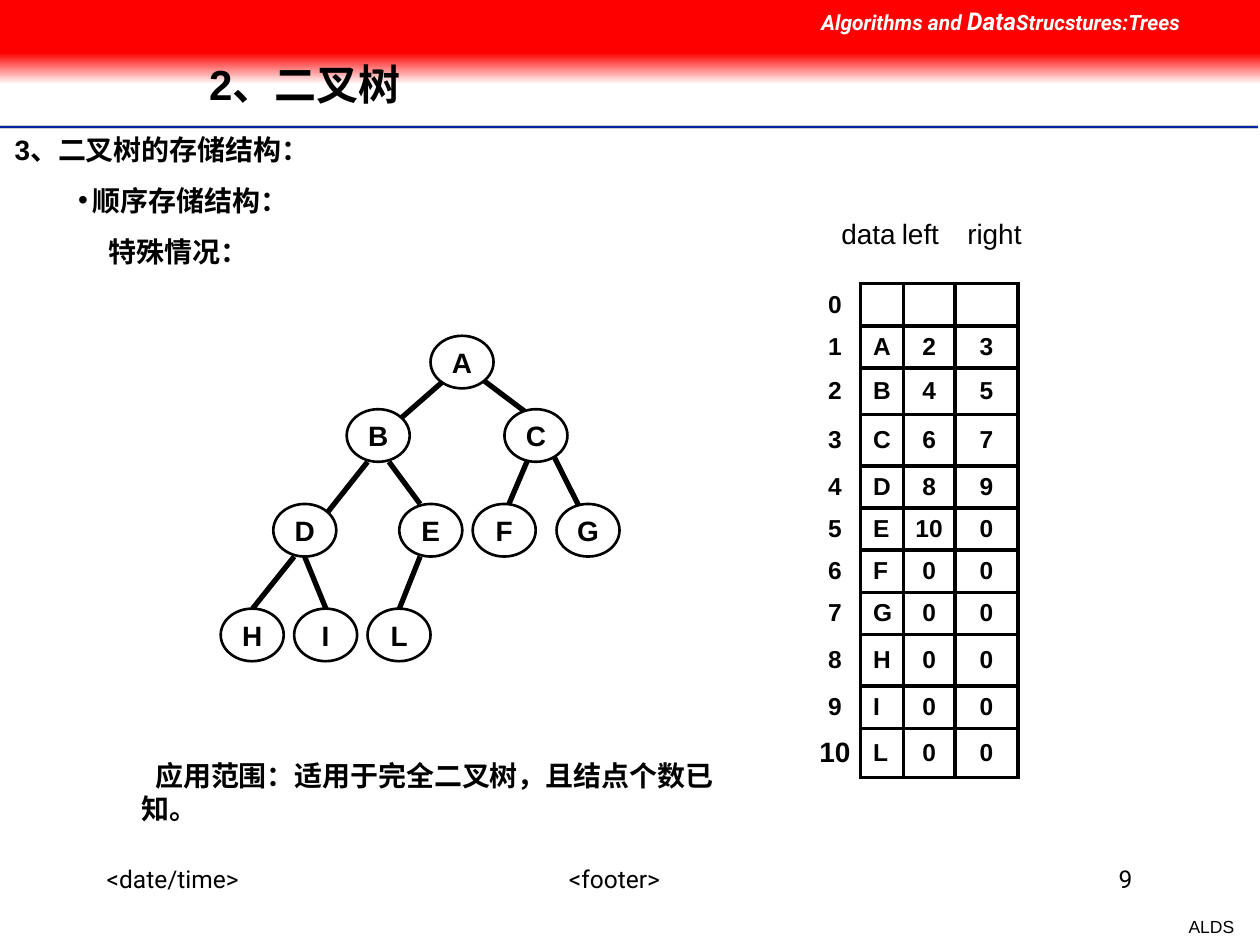
from lxml.etree import SubElement
from pptx import Presentation
from pptx.dml.color import RGBColor
from pptx.enum.shapes import MSO_CONNECTOR, MSO_SHAPE
from pptx.enum.text import MSO_ANCHOR, MSO_AUTO_SIZE, PP_ALIGN
from pptx.oxml import parse_xml
from pptx.oxml.ns import nsdecls, qn
from pptx.util import Cm, Pt

BLACK = RGBColor(0x00, 0x00, 0x00)
WHITE = RGBColor(0xFF, 0xFF, 0xFF)
NEAR_WHITE = RGBColor(0xFE, 0xFE, 0xFE)
RED = RGBColor(0xFF, 0x00, 0x00)
BLUE = RGBColor(0x00, 0x27, 0x9F)
GREY = RGBColor(0xCE, 0xCE, 0xCE)

NODE_WIDTH, NODE_HEIGHT = 1.27, 1.06
NODES = {
    "A": (4.23, 0), "B": (2.54, 1.48), "C": (5.72, 1.48),
    "D": (1.06, 3.39), "E": (3.6, 3.39), "F": (5.08, 3.39), "G": (6.77, 3.39),
    "H": (0, 5.5), "I": (1.48, 5.5), "L": (2.96, 5.5),
}
BRANCHES = [
    (5.29, 0.21, 3.6, 1.69), (4.66, 0.42, 6.35, 1.69),
    (2.96, 2.54, 2.12, 3.6), (3.39, 2.54, 4.02, 3.39),
    (6.35, 2.12, 5.72, 3.6), (6.56, 2.12, 7.41, 3.81),
    (1.48, 4.45, 0.64, 5.5), (1.69, 4.45, 2.12, 5.5),
    (4.02, 4.45, 3.6, 5.5),
]

STORAGE = [
    ("", "", ""), ("A", 2, 3), ("B", 4, 5), ("C", 6, 7), ("D", 8, 9),
    ("E", 10, 0), ("F", 0, 0), ("G", 0, 0), ("H", 0, 0), ("I", 0, 0), ("L", 0, 0),
]
COLUMN_WIDTHS = [1.04, 0.86, 1.04, 1.27]
ROW_HEIGHTS = [0.85, 0.85, 0.93, 1.04, 0.85, 0.85, 0.85, 0.85, 1.04, 0.85, 0.99]
HEADINGS = {"data": 0.4, "left": 1.62, "right": 2.94}


def style(paragraph, size, bold=False, color=BLACK, name="Arial", align=PP_ALIGN.LEFT):
    paragraph.alignment = align
    font = paragraph.font
    font.size, font.bold, font.name = Pt(size), bold, name
    font.color.rgb = color


def add_line(slide, start_x, start_y, end_x, end_y, color, width):
    line = slide.shapes.add_connector(
        MSO_CONNECTOR.STRAIGHT, Cm(start_x), Cm(start_y), Cm(end_x), Cm(end_y))
    line.line.color.rgb = color
    line.line.width = Pt(width)
    SubElement(line._element.spPr, qn("a:effectLst"))


def add_label(slide, text, left, top, width, height, size, wrap=True, **look):
    frame = slide.shapes.add_textbox(Cm(left), Cm(top), Cm(width), Cm(height)).text_frame
    frame.word_wrap = wrap
    paragraph = frame.paragraphs[0]
    paragraph.text = text
    style(paragraph, size, **look)
    return paragraph


def set_indent(paragraph, left, first_line):
    properties = paragraph._p.get_or_add_pPr()
    properties.set("marL", str(Cm(left)))
    properties.set("indent", str(Cm(first_line)))


def set_bullet(paragraph, bullet):
    properties = paragraph._p.get_or_add_pPr()
    if bullet:
        SubElement(properties, qn("a:buChar"), char=bullet)
    else:
        SubElement(properties, qn("a:buNone"))


def add_band(slide, left, top, width, height):
    band = slide.shapes.add_shape(
        MSO_SHAPE.RECTANGLE, Cm(left), Cm(top), Cm(width), Cm(height))
    band.shadow.inherit = False
    band.line.fill.background()
    return band.fill


def add_header(slide, left, top, width):
    fade = add_band(slide, left, top + 1.06, width, 0.64)
    fade.gradient()
    fade.gradient_angle = 270
    for stop, color in zip(fade.gradient_stops, (RED, NEAR_WHITE)):
        stop.color.rgb = color
    solid = add_band(slide, left, top, width, 1.09)
    solid.solid()
    solid.fore_color.rgb = RED

    course = add_label(slide, "Algorithms and ", left + 16.31, top, 9.09, 0.86, 12,
                       bold=True, color=WHITE, name="Roboto")
    course.font.italic = True
    emphasis = course.add_run()
    emphasis.text = "Data"
    emphasis.font.size = Pt(14)
    course.add_run().text = "Strucstures:Trees"

    for offset, color, thickness in ((2.56, GREY, 2), (2.56, BLUE, 1), (2.62, WHITE, 1)):
        add_line(slide, left, top + offset, left + width - 0.05, top + offset,
                 color, thickness)


def place_in_front(slide, placeholder, left, top, width, height):
    slide.shapes._spTree.append(placeholder._element)
    placeholder.left, placeholder.top = Cm(left), Cm(top)
    placeholder.width, placeholder.height = Cm(width), Cm(height)


def fill_title(slide, left, top, width, height):
    title = slide.shapes.title
    place_in_front(slide, title, left, top, width, height)
    title.text_frame.text = "2、二叉树"
    title.text_frame.vertical_anchor = MSO_ANCHOR.MIDDLE
    paragraph = title.text_frame.paragraphs[0]
    paragraph.line_spacing = 0.9
    style(paragraph, 24, bold=True)


def fill_outline(slide, left, top, width, height):
    body = slide.placeholders[1]
    place_in_front(slide, body, left, top, width, height)
    frame = body.text_frame
    frame.auto_size = MSO_AUTO_SIZE.NONE
    frame.vertical_anchor = MSO_ANCHOR.TOP
    frame.text = "3、二叉树的存储结构：\n顺序存储结构：\n特殊情况："
    indents = [(0, 0, None), (1.58, -0.3, "•"), (1.9, 0, None)]
    for level, (paragraph, indent) in enumerate(zip(frame.paragraphs, indents)):
        margin, first_line, bullet = indent
        paragraph.level = level
        paragraph.space_before = Pt(10 if level else 0)
        set_indent(paragraph, margin, first_line)
        set_bullet(paragraph, bullet)
        style(paragraph, 16, bold=True)


def add_tree(slide, left, top):
    for start_x, start_y, end_x, end_y in BRANCHES:
        add_line(slide, left + start_x, top + start_y, left + end_x, top + end_y, BLACK, 3)
    for letter, (x, y) in NODES.items():
        node = slide.shapes.add_shape(
            MSO_SHAPE.OVAL, Cm(left + x), Cm(top + y), Cm(NODE_WIDTH), Cm(NODE_HEIGHT))
        node.shadow.inherit = False
        node.fill.solid()
        node.fill.fore_color.rgb = WHITE
        node.line.color.rgb = BLACK
        node.line.width = Pt(1.5)
        node.text_frame.word_wrap = False
        node.text_frame.vertical_anchor = MSO_ANCHOR.MIDDLE
        node.text_frame.text = letter
        style(node.text_frame.paragraphs[0], 16, bold=True, align=PP_ALIGN.CENTER)


def set_borders(cell, visible_sides):
    for position, side in enumerate("LRTB"):
        paint = (f'<a:solidFill><a:srgbClr val="{BLACK}"/></a:solidFill>'
                 if side in visible_sides else "<a:noFill/>")
        border = parse_xml(f'<a:ln{side} {nsdecls("a")} w="{Pt(2.25)}">{paint}</a:ln{side}>')
        cell._tc.get_or_add_tcPr().insert(position, border)


def add_storage_table(slide, left, top):
    """Column headings over an array whose row numbers stand outside the ruled part."""
    for heading, offset in HEADINGS.items():
        add_label(slide, heading, left + offset, top - 1.48, 2.33, 0.94, 16)

    table = slide.shapes.add_table(
        len(ROW_HEIGHTS), len(COLUMN_WIDTHS), Cm(left), Cm(top),
        Cm(sum(COLUMN_WIDTHS)), Cm(sum(ROW_HEIGHTS))).table
    table.first_row = table.horz_banding = False
    for column, width in zip(table.columns, COLUMN_WIDTHS):
        column.width = Cm(width)
    for number, (height, record) in enumerate(zip(ROW_HEIGHTS, STORAGE)):
        table.rows[number].height = Cm(height)
        for place, value in enumerate((number, *record)):
            cell = table.cell(number, place)
            cell.fill.background()
            set_borders(cell, "LRTB" if place else "R")
            cell.margin_top = cell.margin_bottom = cell.margin_right = 0
            cell.margin_left = Cm(0.25 if place == 1 else 0)
            cell.vertical_anchor = MSO_ANCHOR.MIDDLE
            cell.text = str(value)
            style(cell.text_frame.paragraphs[0], 16 if (number, place) == (10, 0) else 14,
                  bold=True, align=PP_ALIGN.LEFT if place == 1 else PP_ALIGN.CENTER)


def add_footer(slide, left, top):
    for text, offset, width, align in (
            ("<date/time>", 0, 4.88, PP_ALIGN.LEFT),
            ("<footer>", 6.78, 7.42, PP_ALIGN.CENTER),
            ("9", 16.3, 4.88, PP_ALIGN.RIGHT)):
        add_label(slide, text, left + offset, top, width, 1.27, 14,
                  name="Roboto", align=align)
    add_label(slide, "ALDS", left + 21.81, top + 1.04, 1.42, 0.69, 10,
              wrap=False, align=PP_ALIGN.RIGHT)


def main():
    presentation = Presentation()
    presentation.slide_width, presentation.slide_height = Cm(25.4), Cm(19.05)
    slide = presentation.slides.add_slide(presentation.slide_layouts[1])
    add_header(slide, 0, 0, 25.4)
    fill_title(slide, 3.96, 0.81, 19.18, 1.88)
    fill_outline(slide, 0.04, 2.54, 8, 3.2)
    add_tree(slide, 4.45, 6.77)
    add_storage_table(slide, 16.31, 5.72)
    scope = add_label(slide, "应用范围：适用于完全二叉树，且结点个数已知。",
                      2.6, 15.16, 12.2, 1.6, 16, bold=True)
    set_indent(scope, 0, 0.28)
    add_footer(slide, 1.9, 17.3)
    presentation.save("out.pptx")


if __name__ == "__main__":
    main()
